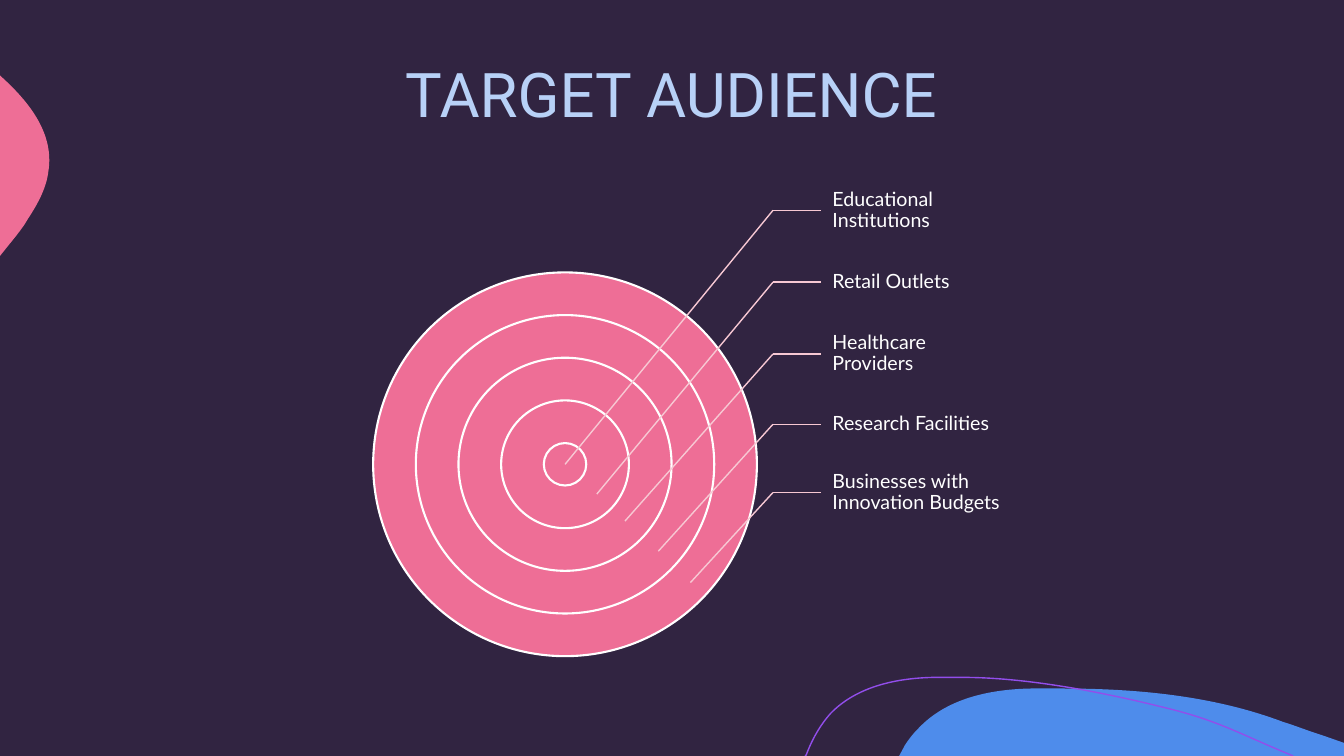
from dataclasses import dataclass
from typing import Optional

from lxml.etree import SubElement
from pptx import Presentation
from pptx.dml.color import RGBColor as RGB
from pptx.enum.shapes import MSO_CONNECTOR as Connector, MSO_SHAPE as Preset
from pptx.enum.text import MSO_ANCHOR as Anchor, MSO_AUTO_SIZE as AutoSize, PP_ALIGN as Align
from pptx.oxml.ns import qn
from pptx.util import Cm, Pt

Point = tuple[float, float]


@dataclass(frozen=True)
class Theme:
    background: RGB = RGB.from_string("312441")
    pink: RGB = RGB.from_string("EE6E96")
    blue: RGB = RGB.from_string("4E8CEB")
    purple: RGB = RGB.from_string("924EEB")
    leader: RGB = RGB.from_string("F7C8D3")
    title: RGB = RGB.from_string("B8D1F7")
    white: RGB = RGB.from_string("FFFFFF")
    title_font: str = "Roboto"
    label_font: str = "Lato"
    title_size: int = 44
    label_size: int = 14
    line_spacing: float = 0.9
    thin: float = 1
    ring_line: float = 1.5


@dataclass(frozen=True)
class Blob:
    start: Point
    segments: list[tuple[Point, ...]]
    fill: Optional[RGB] = None
    line: Optional[RGB] = None


@dataclass(frozen=True)
class Audience:
    name: str
    y: float
    tip: Point


THEME = Theme()
CENTRE: Point = (14.24, 11.7)
INNER_DIAMETER, RING_STEP, RING_COUNT = 1.07, 2.15, 5
ELBOW_X, LABEL_X, LABEL_WIDTH, LABEL_HEIGHT = 19.48, 20.7, 4.84, 1.7

BLOBS = [
    Blob((26.77, 17.35), [
        ((28.65, 17.35), (30.58, 17.53), (32.33, 18.19)),
        ((32.66, 18.29), (32.97, 18.42), (33.3, 18.52)),
        ((33.87, 18.72),), ((33.87, 19.05),), ((22.66, 19.05),), ((22.81, 18.77),),
        ((22.91, 18.62), (23.01, 18.49), (23.14, 18.36)),
        ((23.85, 17.6), (24.94, 17.37), (25.98, 17.35)),
        ((26.24, 17.35), (26.49, 17.35), (26.77, 17.35)),
    ], fill=THEME.blue),
    Blob((0, 1.9), [
        ((0.03, 1.93),),
        ((0.76, 2.59), (1.37, 3.38), (1.22, 4.32)),
        ((1.17, 4.75), (0.94, 5.16), (0.69, 5.54)),
        ((0.61, 5.69), (0.43, 5.92), (0.2, 6.2)),
        ((0, 6.45),),
    ], fill=THEME.pink),
    Blob((20.29, 19.05), [
        ((20.32, 19.02),),
        ((20.47, 18.62), (20.68, 18.26), (20.93, 17.98)),
        ((21.59, 17.3), (22.58, 17.09), (23.52, 17.07)),
        ((24.26, 17.07),),
        ((25.96, 17.07), (27.94, 17.48), (29.34, 17.83)),
        ((30.71, 18.16), (31.14, 18.45), (32.59, 19.05)),
    ], line=THEME.purple),
]

AUDIENCES = [
    Audience("Educational Institutions", 5.3, CENTRE),
    Audience("Retail Outlets", 7.11, (15.04, 12.45)),
    Audience("Healthcare Providers", 8.92, (15.75, 13.13)),
    Audience("Research Facilities", 10.69, (16.59, 13.89)),
    Audience("Businesses with Innovation Budgets", 12.41, (17.4, 14.68)),
]


def bend_segments(shape, segments: list[tuple[Point, ...]]) -> None:
    straights = list(shape._element.iter(qn("a:lnTo")))
    for straight, segment in zip(straights, segments):
        if len(segment) == 3:
            straight.tag
            curve = straight.makeelement(qn("a:cubicBezTo"))
            for x, y in segment:
                SubElement(curve, qn("a:pt"), x=str(Cm(x) - shape.left), y=str(Cm(y) - shape.top))
            straight.getparent().replace(straight, curve)


def draw_blob(slide, blob: Blob) -> None:
    anchors = [(Cm(x), Cm(y)) for x, y in [blob.start] + [s[-1] for s in blob.segments]]
    builder = slide.shapes.build_freeform(*anchors[0])
    builder.add_line_segments(anchors[1:], close=blob.fill is not None)
    shape = builder.convert_to_shape()
    bend_segments(shape, blob.segments)
    shape.shadow.inherit = False
    if blob.fill is None:
        shape.fill.background()
    else:
        shape.fill.solid()
        shape.fill.fore_color.rgb = blob.fill
    if blob.line is None:
        shape.line.fill.background()
    else:
        shape.line.color.rgb = blob.line
        shape.line.width = Pt(THEME.thin)


def draw_title(slide, text: str) -> None:
    title = slide.shapes.title
    title.left, title.top, title.width, title.height = Cm(2.1), Cm(0.91), Cm(29.63), Cm(3.12)
    frame = title.text_frame
    frame.text = text
    frame.auto_size = AutoSize.NONE
    frame.vertical_anchor = Anchor.MIDDLE
    heading = frame.paragraphs[0]
    heading.alignment = Align.CENTER
    heading.line_spacing = THEME.line_spacing
    heading.font.name = THEME.title_font
    heading.font.size = Pt(THEME.title_size)
    heading.font.color.rgb = THEME.title


def draw_ring(slide, diameter: float) -> None:
    left, top = (Cm(c - diameter / 2) for c in CENTRE)
    ring = slide.shapes.add_shape(Preset.OVAL, left, top, Cm(diameter), Cm(diameter))
    ring.shadow.inherit = False
    ring.fill.solid()
    ring.fill.fore_color.rgb = THEME.pink
    ring.line.color.rgb = THEME.white
    ring.line.width = Pt(THEME.ring_line)


def draw_leader(slide, start: Point, end: Point):
    leader = slide.shapes.add_connector(Connector.STRAIGHT, *(Cm(c) for c in start + end))
    leader.line.color.rgb = THEME.leader
    leader.line.width = Pt(THEME.thin)
    SubElement(leader._element.spPr, qn("a:effectLst"))
    return leader


def draw_audience(slide, audience: Audience) -> None:
    label = slide.shapes.add_textbox(Cm(LABEL_X), Cm(audience.y) - Cm(LABEL_HEIGHT) // 2,
                                     Cm(LABEL_WIDTH), Cm(LABEL_HEIGHT))
    frame = label.text_frame
    frame.word_wrap = True
    frame.vertical_anchor = Anchor.MIDDLE
    frame.margin_left = Cm(0.28)
    frame.margin_top = frame.margin_right = frame.margin_bottom = Cm(0.05)
    frame.text = audience.name
    caption = frame.paragraphs[0]
    caption.line_spacing = THEME.line_spacing
    caption.font.name = THEME.label_font
    caption.font.size = Pt(THEME.label_size)
    caption.font.color.rgb = THEME.white
    elbow = (ELBOW_X, audience.y)
    draw_leader(slide, elbow, (LABEL_X, audience.y)).end_connect(label, 1)
    draw_leader(slide, elbow, audience.tip)


def main() -> None:
    deck = Presentation()
    deck.slide_width, deck.slide_height = Cm(33.87), Cm(19.05)
    slide = deck.slides.add_slide(deck.slide_layouts[5])
    slide.background.fill.solid()
    slide.background.fill.fore_color.rgb = THEME.background
    for blob in BLOBS:
        draw_blob(slide, blob)
    draw_title(slide, "TARGET AUDIENCE")
    for ring in reversed(range(RING_COUNT)):
        draw_ring(slide, INNER_DIAMETER + ring * RING_STEP)
    for audience in AUDIENCES:
        draw_audience(slide, audience)
    deck.save("out.pptx")


if __name__ == "__main__":
    main()
